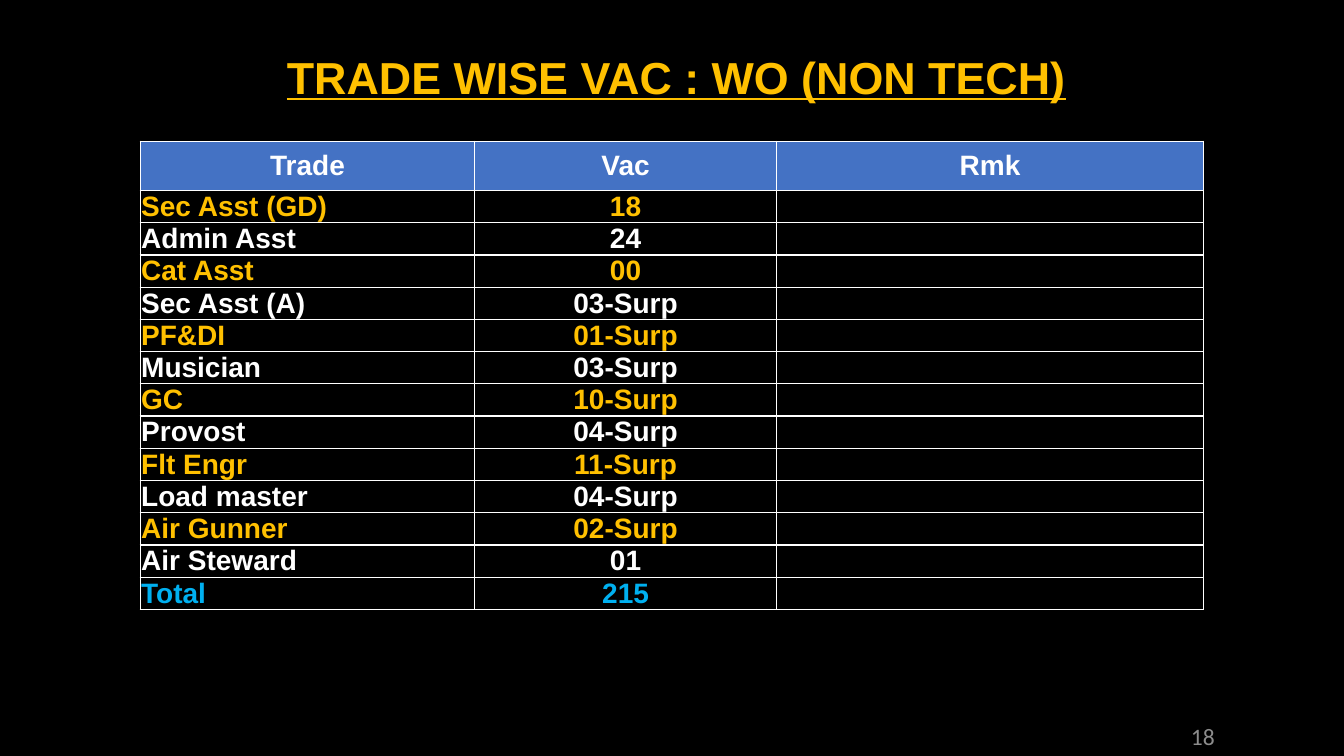
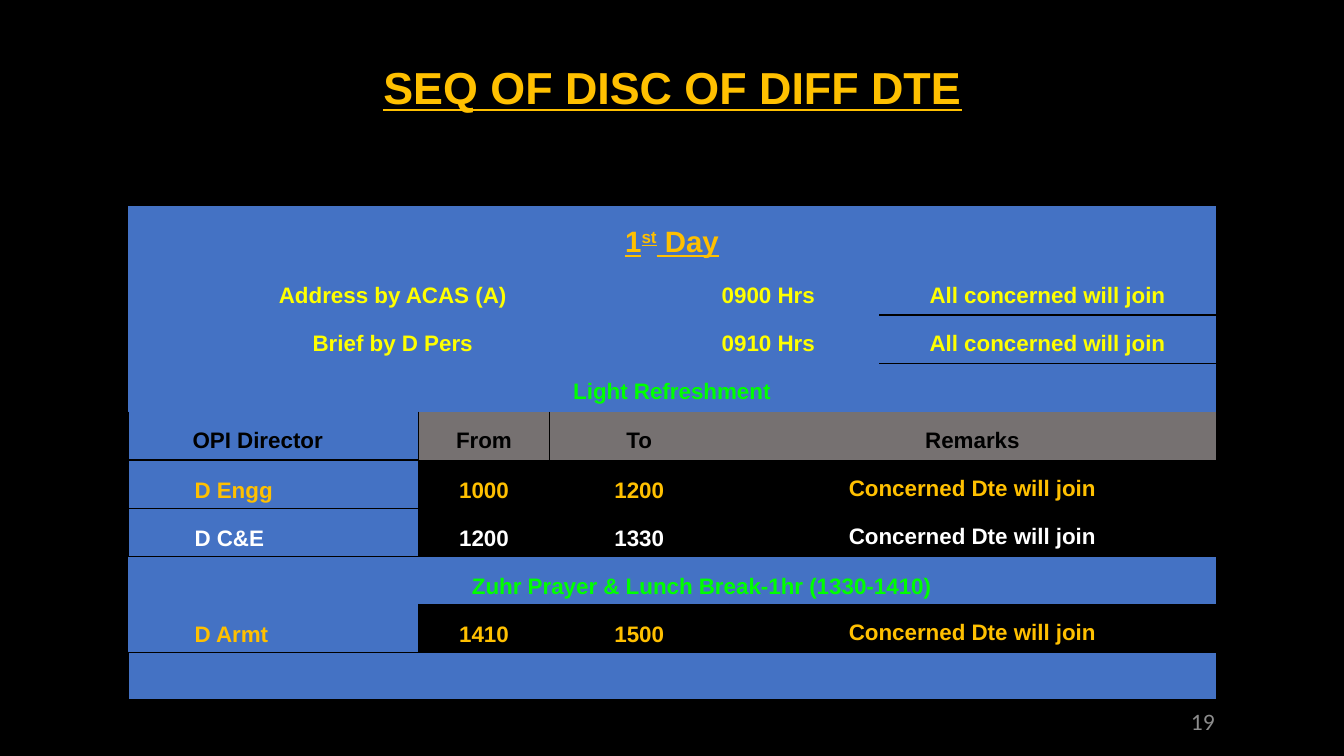
from dataclasses import dataclass

from lxml.etree import SubElement
from pptx import Presentation
from pptx.dml.color import RGBColor
from pptx.enum.text import MSO_ANCHOR, PP_ALIGN
from pptx.oxml.ns import qn
from pptx.util import Inches, Pt


@dataclass(frozen=True)
class Theme:
    background: str = "000000"
    black: str = "000000"
    white: str = "FFFFFF"
    gold: str = "FFC000"
    blue: str = "4472C4"
    cyan: str = "00B0F0"
    yellow: str = "FFFF00"
    green: str = "00FF00"
    grey: str = "767171"
    number: str = "8C8C8C"
    font: str = "Arial"
    number_font: str = "Calibri"
    title_size: float = 32
    trade_size: float = 20
    day_size: float = 21
    schedule_size: float = 16
    number_size: float = 16.8
    plain_table: str = "{2D5ABB26-0587-4C30-8999-92F81FD0307C}"


theme = Theme()


def write(frame, text, size, color, align=PP_ALIGN.CENTER, font=theme.font,
          bold=True, underline=False, spacing=1.0, indent=0):
    paragraph = frame.paragraphs[0]
    paragraph.alignment = align
    paragraph.line_spacing = spacing
    if indent:
        properties = paragraph._p.get_or_add_pPr()
        properties.set("marL", str(Inches(indent)))
        properties.set("indent", "0")
    paragraph.font.name = font
    paragraph.font.size = Pt(size)
    paragraph.font.bold = bold
    paragraph.font.underline = underline
    paragraph.font.color.rgb = RGBColor.from_string(color)
    for part in text if isinstance(text, list) else [text]:
        span = paragraph.add_run()
        span.text = part
    return paragraph


def style_cell(cell, fill, sides, border, inset_x, inset_y, anchor):
    cell.margin_left = cell.margin_right = Inches(inset_x)
    cell.margin_top = cell.margin_bottom = Inches(inset_y)
    cell.vertical_anchor = anchor
    properties = cell._tc.get_or_add_tcPr()
    for side in sides:
        line = SubElement(properties, qn("a:ln" + side), w=str(Pt(1)))
        solid = SubElement(line, qn("a:solidFill"))
        SubElement(solid, qn("a:srgbClr"), val=border)
    if fill:
        cell.fill.solid()
        cell.fill.fore_color.rgb = RGBColor.from_string(fill)
    else:
        cell.fill.background()


deck = Presentation()
deck.slide_width = Inches(13.33)
deck.slide_height = Inches(7.5)

page_rules = [
    ("TRADE WISE VAC : WO (NON TECH)", (1.09, 0.43, 11.24, 0.66), 0.06, 1.0, "18", 7.1,
     (1.39, 1.4), [3.32, 2.99, 4.24], [0.49] + [0.32] * 13),
    ("SEQ OF DISC OF DIFF DTE", (1, 0.28, 11.34, 0.81), 0.05, 1.5, "19", 6.95,
     (1.27, 2.04), [2.88, 1.3, 1.07, 0.71, 1.49, 3.34],
     [0.44] + [0.42] * 4 + [0.47] * 5),
]

tables = []
for title, place, inset, spacing, number, number_top, corner, widths, heights in page_rules:
    page = deck.slides.add_slide(deck.slide_layouts[6])
    page.background.fill.solid()
    page.background.fill.fore_color.rgb = RGBColor.from_string(theme.background)

    frame = page.shapes.add_table(
        len(heights), len(widths), Inches(corner[0]), Inches(corner[1]),
        Inches(sum(widths)), Inches(sum(heights)))
    table = frame.table
    table.first_row = table.horz_banding = False
    table._tbl.tblPr.find(qn("a:tableStyleId")).text = theme.plain_table
    for column, width in zip(table.columns, widths):
        column.width = Inches(width)
    for row, height in zip(table.rows, heights):
        row.height = Inches(height)
    tables.append(table)

    title_box = page.shapes.add_textbox(*[Inches(length) for length in place]).text_frame
    title_box.word_wrap = True
    title_box.margin_top = title_box.margin_bottom = Inches(inset)
    write(title_box, title, theme.title_size, theme.gold, underline=True, spacing=spacing)

    number_box = page.shapes.add_textbox(
        Inches(11.44), Inches(number_top), Inches(0.98), Inches(0.4)).text_frame
    number_box.word_wrap = True
    number_box.vertical_anchor = MSO_ANCHOR.MIDDLE
    write(number_box, number, theme.number_size, theme.number,
          font=theme.number_font, bold=False)

trade_table, schedule_table = tables

trades = [
    ("Trade", "Vac", "Rmk"),
    ("Sec Asst (GD)", "18", ""),
    ("Admin Asst", "24", ""),
    ("Cat Asst", "00", ""),
    ("Sec Asst (A)", "03-Surp", ""),
    ("PF&DI", "01-Surp", ""),
    ("Musician", "03-Surp", ""),
    ("GC", "10-Surp", ""),
    ("Provost", "04-Surp", ""),
    ("Flt Engr", "11-Surp", ""),
    ("Load master", "04-Surp", ""),
    ("Air Gunner", "02-Surp", ""),
    ("Air Steward", "01", ""),
    ("Total", "215", ""),
]
for row, texts in enumerate(trades):
    is_header = row == 0
    color = theme.gold if row % 2 else theme.white
    if row == len(trades) - 1:
        color = theme.cyan
    for column, text in enumerate(texts):
        cell = trade_table.cell(row, column)
        style_cell(cell, theme.blue if is_header else None, "LRTB", theme.white,
                   0.01, 0, MSO_ANCHOR.MIDDLE)
        if text:
            align = PP_ALIGN.CENTER if is_header or column else PP_ALIGN.LEFT
            write(cell.text_frame, text, theme.trade_size, color, align)

join_all = "All concerned will join"
join_some = "Concerned Dte will join"
schedule = [
    (theme.gold, [(0, 5, ["1", "st", " Day"], theme.blue, "")]),
    (theme.yellow, [(0, 2, "Address by ACAS (A)", theme.blue, ""),
                    (3, 4, "0900 Hrs", theme.blue, ""),
                    (5, 5, join_all, theme.blue, "B")]),
    (theme.yellow, [(0, 2, "Brief by D Pers", theme.blue, ""),
                    (3, 4, "0910 Hrs", theme.blue, ""),
                    (5, 5, join_all, theme.blue, "T")]),
    (theme.green, [(0, 5, "Light Refreshment", theme.blue, "")]),
    (theme.black, [(0, 0, "OPI Director", theme.blue, "LRB"),
                   (1, 1, "From", theme.grey, "L"),
                   (2, 3, "To", theme.grey, ""),
                   (4, 5, "Remarks", theme.grey, "")]),
    (theme.gold, [(0, 0, "D Engg", theme.blue, "LTB"),
                  (1, 1, "1000", None, ""),
                  (2, 3, "1200", None, ""),
                  (4, 5, join_some, None, "")]),
    (theme.white, [(0, 0, "D C&E", theme.blue, "LT"),
                   (1, 1, "1200", None, ""),
                   (2, 3, "1330", None, ""),
                   (4, 5, join_some, None, "")]),
    (theme.green, [(0, 5, "Zuhr Prayer & Lunch Break-1hr (1330-1410)", theme.blue, "")]),
    (theme.gold, [(0, 0, "D Armt", theme.blue, "RB"),
                  (1, 1, "1410", None, "LRB"),
                  (2, 3, "1500", None, "LRB"),
                  (4, 5, join_some, None, "LB")]),
    (theme.white, [(0, 5, "", theme.blue, "LTB")]),
]
header_row = 4
for row, (color, entries) in enumerate(schedule):
    for first, last, text, fill, sides in entries:
        cell = schedule_table.cell(row, first)
        if last > first:
            cell.merge(schedule_table.cell(row, last))
        is_middle = row > header_row and first < 4
        inset_x, inset_y, anchor = (
            (0.07, 0, MSO_ANCHOR.MIDDLE) if is_middle else (0.09, 0.04, MSO_ANCHOR.TOP))
        style_cell(cell, fill, sides, theme.black, inset_x, inset_y, anchor)
        if not text:
            continue
        is_director = row >= header_row and last == 0
        indent = 0
        if row >= header_row and first == 0:
            indent = 0.55 if row == header_row else 0.59
        is_day = row == 0
        paragraph = write(
            cell.text_frame, text, theme.day_size if is_day else theme.schedule_size, color,
            PP_ALIGN.LEFT if is_director else PP_ALIGN.CENTER,
            underline=is_day, spacing=1.5, indent=indent)
        if is_day:
            paragraph.runs[1]._r.get_or_add_rPr().set("baseline", "30000")

deck.save("out.pptx")
